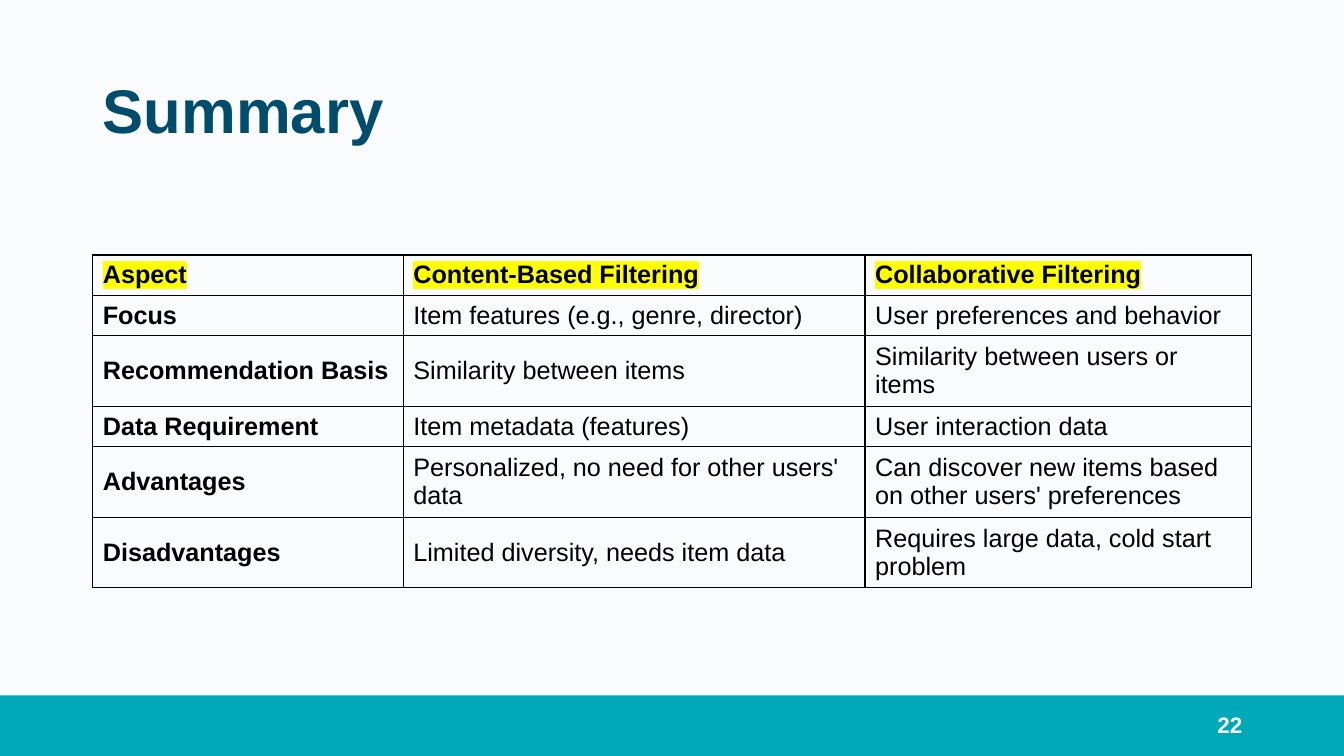
from lxml.etree import SubElement
from pptx import Presentation
from pptx.dml.color import RGBColor
from pptx.enum.shapes import MSO_SHAPE
from pptx.enum.text import MSO_ANCHOR, PP_ALIGN
from pptx.oxml import parse_xml
from pptx.oxml.ns import nsdecls, qn
from pptx.util import Inches, Pt

COLORS = {"background": "FAFBFC", "footer": "00A9B7", "title": "004C6C",
          "number": "FAFBFD", "text": "000000", "highlight": "FFFF00"}
ROWS = [
    ("Aspect", "Content-Based Filtering", "Collaborative Filtering"),
    ("Focus", "Item features (e.g., genre, director)",
     "User preferences and behavior"),
    ("Recommendation Basis", "Similarity between items",
     "Similarity between users or items"),
    ("Data Requirement", "Item metadata (features)", "User interaction data"),
    ("Advantages", "Personalized, no need for other users' data",
     "Can discover new items based on other users' preferences"),
    ("Disadvantages", "Limited diversity, needs item data",
     "Requires large data, cold start problem"),
]
COLUMN_WIDTHS = [3.08, 4.58, 3.83]
ROW_HEIGHTS = [0.38, 0.38, 0.66, 0.38, 0.66, 0.66]


def format_run(r, size, color, bold=True):
    r.font.name = "Arial"
    r.font.size = Pt(size)
    r.font.bold = bold
    r.font.color.rgb = RGBColor.from_string(COLORS[color])


def add_text(slide, text, box, size, color, align):
    tf = slide.shapes.add_textbox(*map(Inches, box)).text_frame
    tf.word_wrap = True
    tf.vertical_anchor = MSO_ANCHOR.MIDDLE
    tf.text = text
    p = tf.paragraphs[0]
    p.alignment = align
    format_run(p.runs[0], size, color)
    return p


prs = Presentation()
prs.slide_width = Inches(13.33)
prs.slide_height = Inches(7.5)
s = prs.slides.add_slide(prs.slide_layouts[6])
s.background.fill.solid()
s.background.fill.fore_color.rgb = RGBColor.from_string(COLORS["background"])

footer = s.shapes.add_shape(MSO_SHAPE.RECTANGLE, 0, Inches(6.9),
                            prs.slide_width, Inches(0.6))
footer.shadow.inherit = False
footer.fill.solid()
footer.fill.fore_color.rgb = RGBColor.from_string(COLORS["footer"])
footer.line.fill.background()

title = add_text(s, "Summary", (0.92, 0.4, 11.5, 1.45), 44, "title", PP_ALIGN.LEFT)
title.line_spacing = 0.9
add_text(s, "22", (9.42, 6.99, 3, 0.4), 16, "number", PP_ALIGN.RIGHT)

table = s.shapes.add_table(len(ROWS), len(COLUMN_WIDTHS), Inches(0.92), Inches(2.53),
                           Inches(sum(COLUMN_WIDTHS)), Inches(sum(ROW_HEIGHTS))).table
table.horz_banding = False
for column, width in zip(table.columns, COLUMN_WIDTHS):
    column.width = Inches(width)
for row, height in zip(table.rows, ROW_HEIGHTS):
    row.height = Inches(height)

for i, texts in enumerate(ROWS):
    for j, text in enumerate(texts):
        cell = table.cell(i, j)
        cell.text = text
        cell.vertical_anchor = MSO_ANCHOR.MIDDLE
        cell.fill.background()
        r = cell.text_frame.paragraphs[0].runs[0]
        format_run(r, 18, "text", bold=i == 0 or j == 0)
        if i == 0:
            rPr = r.font._element
            highlight = parse_xml(f'<a:highlight {nsdecls("a")}/>')
            SubElement(highlight, qn("a:srgbClr"), val=COLORS["highlight"])
            rPr.find(qn("a:solidFill")).addnext(highlight)
        tcPr = cell._tc.get_or_add_tcPr()
        for position, side in enumerate("LRTB"):
            tcPr.insert(position, parse_xml(
                f'<a:ln{side} {nsdecls("a")} w="{Pt(1)}"><a:solidFill>'
                f'<a:srgbClr val="{COLORS["text"]}"/></a:solidFill></a:ln{side}>'))

prs.save("out.pptx")
